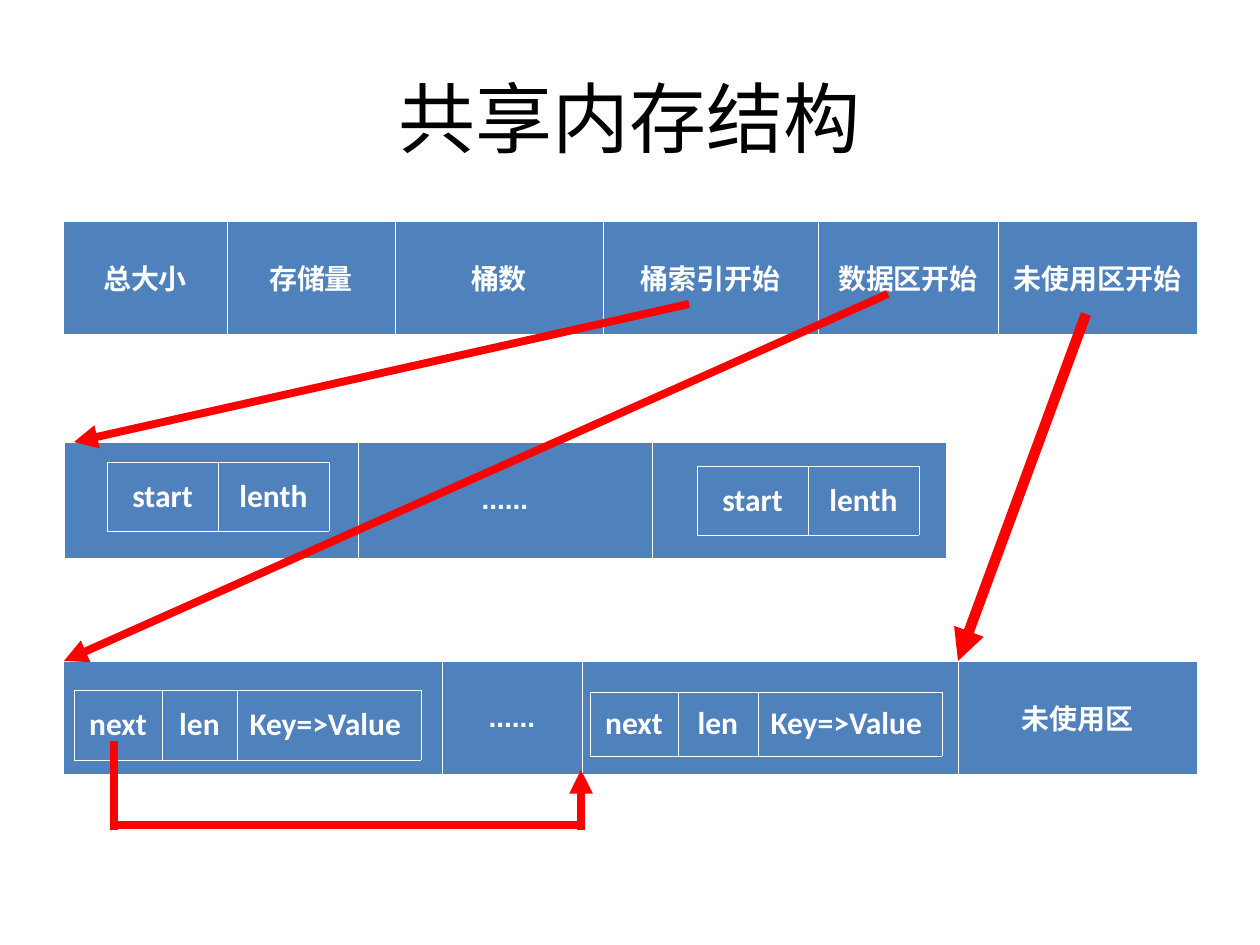
from lxml import etree
from pptx import Presentation
from pptx.dml.color import RGBColor
from pptx.enum.shapes import MSO_CONNECTOR
from pptx.enum.text import MSO_ANCHOR, PP_ALIGN
from pptx.oxml.ns import qn
from pptx.util import Emu, Pt

LINE = MSO_CONNECTOR.STRAIGHT
MIDDLE = MSO_ANCHOR.MIDDLE
CENTER, LEFT = PP_ALIGN.CENTER, PP_ALIGN.LEFT

SCALE = 914400 / 126
COLORS = {"ink": "000000", "cell": "4F81BD", "white": "FFFFFF", "arrow": "FF0000"}
TITLE_ONLY = 5


def px(n):
    return Emu(round(n * SCALE))


def color(name):
    return RGBColor.from_string(COLORS[name])


def put_text(frame, text, size=16, font="Arial", ink="white", bold=True, align=CENTER):
    para = frame.paragraphs[0]
    para.alignment = align
    run = para.add_run()
    run.text = text
    run.font.size = Pt(size)
    run.font.name = font
    run.font.bold = bold
    run.font.color.rgb = color(ink)


def set_edges(cell):
    """Thin white line on each side; borders must come before the fill."""
    props = cell._tc.get_or_add_tcPr()
    for spot, side in enumerate(("lnL", "lnR", "lnT", "lnB")):
        edge = etree.Element(qn(f"a:{side}"), w=str(Pt(0.45)))
        fill = etree.SubElement(edge, qn("a:solidFill"))
        etree.SubElement(fill, qn("a:srgbClr"), val=COLORS["white"])
        props.insert(spot, edge)


def add_row(slide, left, top, height, cells, **form):
    """One-row table; cells holds (width, text) pairs."""
    total = sum(width for width, _ in cells)
    table = slide.shapes.add_table(
        1, len(cells), px(left), px(top), px(total), px(height)).table
    table.first_row = table.horz_banding = False
    for i, (width, text) in enumerate(cells):
        table.columns[i].width = px(width)
        cell = table.cell(0, i)
        cell.fill.solid()
        cell.fill.fore_color.rgb = color("cell")
        cell.vertical_anchor = MIDDLE
        set_edges(cell)
        if text:
            align = LEFT if "=>" in text else CENTER
            put_text(cell.text_frame, text, align=align, **form)


def add_line(shapes, start, end, weight=4.5, head=True):
    line = shapes.add_connector(LINE, *map(px, start + end))
    line.line.color.rgb = color("arrow")
    line.line.width = Pt(weight)
    if head:
        etree.SubElement(line.line._get_or_add_ln(), qn("a:tailEnd"), type="triangle")
    etree.SubElement(line._element.spPr, qn("a:effectLst"))


def add_title(slide, text):
    title = slide.shapes.title
    title.left, title.top, title.width, title.height = map(px, (63, 38, 1134, 157))
    title.text_frame.vertical_anchor = MIDDLE
    put_text(title.text_frame, text, size=44, font="Cabin", ink="ink", bold=False)


def main():
    deck = Presentation()
    deck.slide_width, deck.slide_height = px(1260), px(945)
    slide = deck.slides.add_slide(deck.slide_layouts[TITLE_ONLY])
    add_title(slide, "共享内存结构")

    # Header, bucket index and data area
    add_row(slide, 63, 221, 113, [
        (164, "总大小"), (168, "存储量"), (208, "桶数"),
        (215, "桶索引开始"), (180, "数据区开始"), (199, "未使用区开始")])
    add_row(slide, 64, 442, 116, [(294, ""), (294, "......"), (294, "")])
    add_row(slide, 63, 661, 113, [
        (379, ""), (140, "......"), (376, ""), (239, "未使用区")])

    # Index entries and data records
    inner = {"size": 18, "font": "Calibri"}
    for left, top in ((107, 462), (697, 466)):
        add_row(slide, left, top, 69, [(111, "start"), (111, "lenth")], **inner)
    for left, top, height, mid in ((74, 690, 70, 75), (590, 692, 64, 80)):
        add_row(slide, left, top, height,
                [(88, "next"), (mid, "len"), (184, "Key=>Value")], **inner)

    # Pointers from the header to each area
    add_line(slide.shapes, (1086, 314), (958, 661), weight=6)
    add_line(slide.shapes, (689, 304), (74, 442))

    # Link from one record to the next
    link = slide.shapes.add_group_shape().shapes
    add_line(link, (581, 830), (581, 770))
    add_line(link, (114, 741), (114, 830), head=False)
    add_line(link, (114, 825), (581, 825), head=False)

    add_line(slide.shapes, (888, 294), (64, 661))
    deck.save("out.pptx")


if __name__ == "__main__":
    main()
